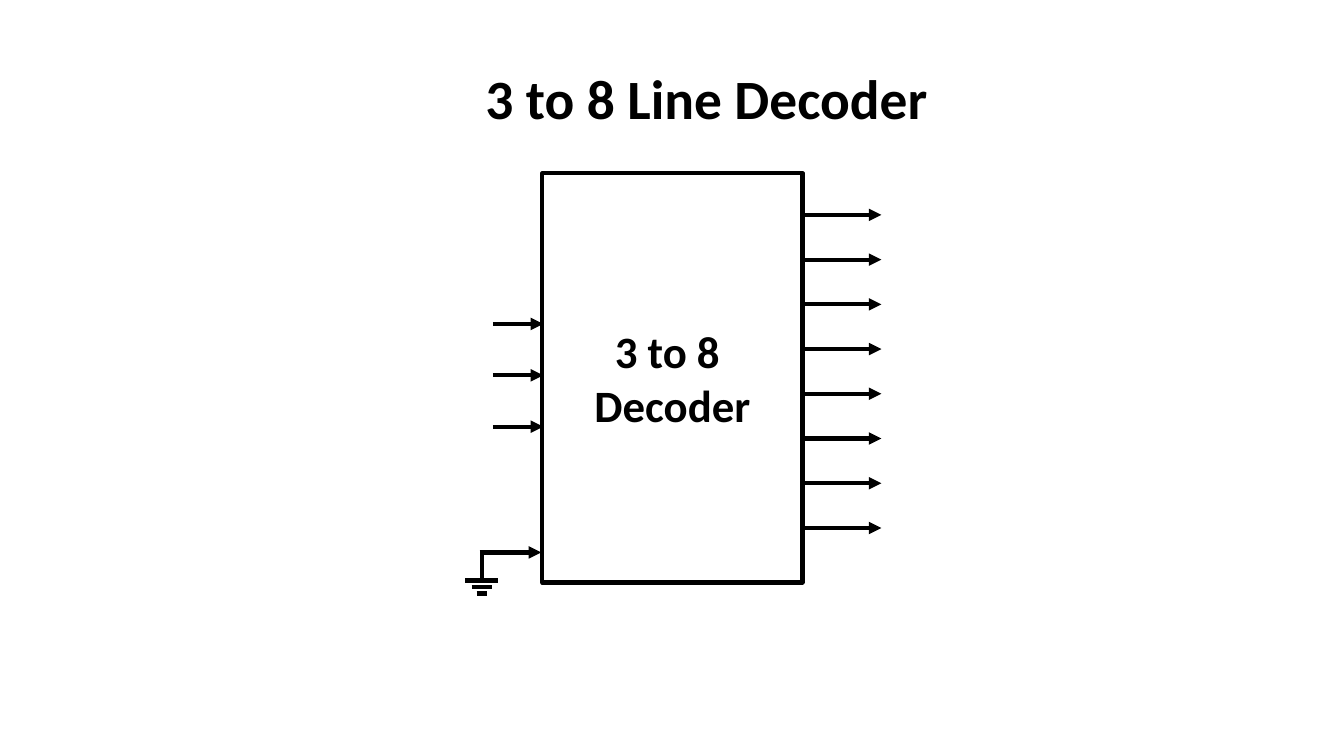
from dataclasses import dataclass

from lxml.etree import SubElement
from pptx import Presentation
from pptx.dml.color import RGBColor
from pptx.enum.shapes import MSO_CONNECTOR, MSO_SHAPE
from pptx.enum.text import MSO_ANCHOR, MSO_AUTO_SIZE, PP_ALIGN
from pptx.oxml.ns import qn
from pptx.slide import Slide
from pptx.util import Pt

BLACK = "000000"
FONT = "Calibri"
LINE_WIDTH = 3


@dataclass(frozen=True)
class Wire:
    x1: float
    y1: float
    x2: float
    y2: float
    arrow: bool = False


def color(value: str) -> RGBColor:
    return RGBColor.from_string(value)


def format_text(tf, lines: list[str], size: float) -> None:
    """Fill a text frame with bold centred lines."""
    tf.word_wrap = True
    tf.auto_size = MSO_AUTO_SIZE.NONE
    tf.vertical_anchor = MSO_ANCHOR.MIDDLE
    tf.text = "\n".join(lines)
    for p in tf.paragraphs:
        p.alignment = PP_ALIGN.CENTER
        p.font.name = FONT
        p.font.size = Pt(size)
        p.font.bold = True
        p.font.color.rgb = color(BLACK)


def draw_wire(s: Slide, wire: Wire) -> None:
    sp = s.shapes.add_connector(
        MSO_CONNECTOR.STRAIGHT,
        Pt(wire.x1), Pt(wire.y1), Pt(wire.x2), Pt(wire.y2),
    )
    sp.line.color.rgb = color(BLACK)
    sp.line.width = Pt(LINE_WIDTH)
    if wire.arrow:
        SubElement(sp.line._get_or_add_ln(), qn("a:tailEnd"), type="triangle")
    SubElement(sp._element.spPr, qn("a:effectLst"))


def arrow_column(x: float, y: float, length: float, step: float, count: int) -> list[Wire]:
    """Evenly spaced horizontal arrows, top to bottom."""
    return [
        Wire(x, y + i * step, x + length, y + i * step, arrow=True)
        for i in range(count)
    ]


def ground_symbol(x: float, y: float) -> list[Wire]:
    """Stem and three shrinking bars, with the stem top at (x, y)."""
    bars = [(21.6, 23.8), (26.2, 14.4), (30.8, 7.2)]
    return [Wire(x, y, x, y + 21.6)] + [
        Wire(x - width / 2, y + drop, x + width / 2, y + drop)
        for drop, width in bars
    ]


def main() -> None:
    prs = Presentation()
    prs.slide_width, prs.slide_height = Pt(960), Pt(540)
    s = prs.slides.add_slide(prs.slide_layouts[5])

    # Title
    title = s.shapes.title
    title.left, title.top = Pt(327.6), Pt(47.5)
    title.width, title.height = Pt(354.2), Pt(49.7)
    format_text(title.text_frame, ["3 to 8 Line Decoder"], 39.6)
    title.text_frame.paragraphs[0].line_spacing = 0.9

    # Decoder block
    sp = s.shapes.add_shape(
        MSO_SHAPE.RECTANGLE, Pt(387.4), Pt(123.8), Pt(185.8), Pt(292.3)
    )
    sp.shadow.inherit = False
    sp.fill.background()
    sp.line.color.rgb = color(BLACK)
    sp.line.width = Pt(LINE_WIDTH)
    format_text(sp.text_frame, ["3 to 8 ", "Decoder"], 32)

    # Grounded enable, three inputs and eight outputs
    enable = Wire(342.7, 394.6, 386.6, 394.6, arrow=True)
    inputs = arrow_column(352.1, 231.4, 36, 36.7, 3)
    outputs = arrow_column(572, 153.5, 57.6, 31.95, 8)
    for wire in [enable, *ground_symbol(344.1, 393.1), *inputs, *outputs]:
        draw_wire(s, wire)

    prs.save("out.pptx")


if __name__ == "__main__":
    main()
